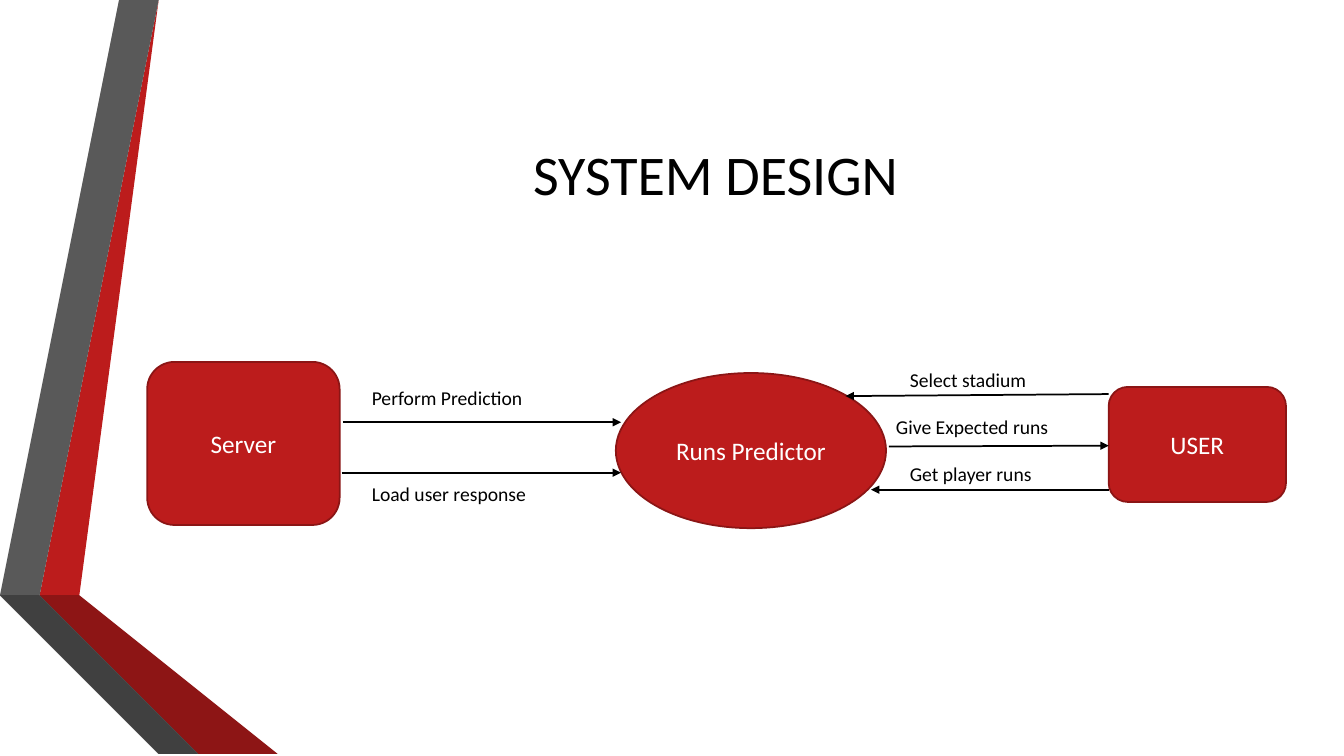
from lxml.etree import SubElement
from pptx import Presentation
from pptx.dml.color import RGBColor as Color
from pptx.enum.shapes import MSO_CONNECTOR as Connector, MSO_SHAPE as Preset
from pptx.enum.text import MSO_ANCHOR as Anchor, PP_ALIGN as Align
from pptx.oxml.ns import qn
from pptx.util import Cm, Pt

theme = {
    "font": "Calibri",
    "title": Pt(40), "node": Pt(18), "label": Pt(14), "line": Pt(1.25),
    "black": Color.from_string("000000"), "white": Color.from_string("FFFFFF"),
    "red": Color.from_string("BC1C1C"), "outline": Color.from_string("8B1515"),
    "dark_red": Color.from_string("8D1515"), "deep_red": Color.from_string("5E0E0E"),
    "gray": Color.from_string("595959"), "dark_gray": Color.from_string("404040"),
    "deep_gray": Color.from_string("262626"),
}


def write_text(shape, text, size, color, align, anchor):
    frame = shape.text_frame
    for name, value in {"word_wrap": True, "vertical_anchor": anchor}.items():
        setattr(frame, name, value)
    paragraph = frame.paragraphs[0]
    paragraph.alignment = align
    run = paragraph.add_run()
    run.text = text
    for name, value in {"name": theme["font"], "size": theme[size]}.items():
        setattr(run.font, name, value)
    run.font.color.rgb = theme[color]


def paint(shape, fill):
    shape.shadow.inherit = False
    shape.fill.solid()
    shape.fill.fore_color.rgb = theme[fill]


presentation = Presentation()
page = {"slide_width": Cm(33.87), "slide_height": Cm(19.05)}
for name, value in page.items():
    setattr(presentation, name, value)
slide = presentation.slides.add_slide(presentation.slide_layouts[6])
shapes = slide.shapes

ribbons = [
    ("red", [(1.27, 14.68), (1.96, 14.81), (4.39, 0), (3.68, 0)]),
    ("gray", [(3.53, 0), (2.82, 0), (0.41, 14.55), (1.12, 14.66)]),
    ("deep_gray", [(0.41, 14.55), (3.68, 19.05), (3.84, 19.05)]),
    ("deep_red", [(1.27, 14.71), (5.28, 19.05), (5.44, 19.05)]),
    ("dark_red", [(1.27, 14.68), (5.44, 19.05), (7.19, 19.05), (1.96, 14.81)]),
    ("dark_gray", [(5.13, 19.05), (1.22, 14.81), (1.09, 14.68), (1.12, 14.66),
                   (0.41, 14.55), (3.84, 19.05)]),
]
for fill, points in ribbons:
    builder = shapes.build_freeform(*points[0], scale=Cm(1))
    builder.add_line_segments(points[1:], close=True)
    ribbon = builder.convert_to_shape()
    paint(ribbon, fill)
    ribbon.line.fill.background()

title = shapes.add_textbox(Cm(4.11), Cm(1.91), Cm(27.84), Cm(4.88))
write_text(title, "SYSTEM DESIGN", "title", "black", Align.CENTER, Anchor.MIDDLE)

nodes = [
    ("Server", Preset.FLOWCHART_ALTERNATE_PROCESS, (3.71, 9.12, 4.85, 4.11)),
    ("Runs Predictor", Preset.OVAL, (15.52, 9.4, 6.81, 3.91)),
    ("USER", Preset.FLOWCHART_ALTERNATE_PROCESS, (27.94, 9.75, 4.47, 2.9)),
]
for text, preset, box in nodes:
    node = shapes.add_shape(preset, *map(Cm, box))
    paint(node, "red")
    node.line.color.rgb = theme["outline"]
    node.line.width = theme["line"]
    write_text(node, text, "node", "white", Align.CENTER, Anchor.MIDDLE)

flows = [
    ("Perform Prediction", (9.12, 9.6, 6.22), (8.64, 10.64, 15.65, 10.64)),
    ("Load user response", (9.12, 12.01, 6.22), (8.61, 11.91, 15.65, 11.91)),
    ("Select stadium", (22.68, 9.14, 3.99), (27.94, 9.93, 21.31, 9.98)),
    ("Give Expected runs", (22.33, 10.34, 4.57), (22.4, 11.25, 27.94, 11.23)),
    ("Get player runs", (22.68, 11.51, 5.89), (27.94, 12.34, 21.95, 12.34)),
]
for text, place, ends in flows:
    arrow = shapes.add_connector(Connector.STRAIGHT, *map(Cm, ends))
    arrow.line.color.rgb = theme["black"]
    arrow.line.width = theme["line"]
    SubElement(arrow.line._get_or_add_ln(), qn("a:tailEnd"), type="triangle")
    SubElement(arrow._element.spPr, qn("a:effectLst"))
    label = shapes.add_textbox(*map(Cm, place), Cm(0.86))
    write_text(label, text, "label", "black", Align.LEFT, Anchor.TOP)

presentation.save("out.pptx")
